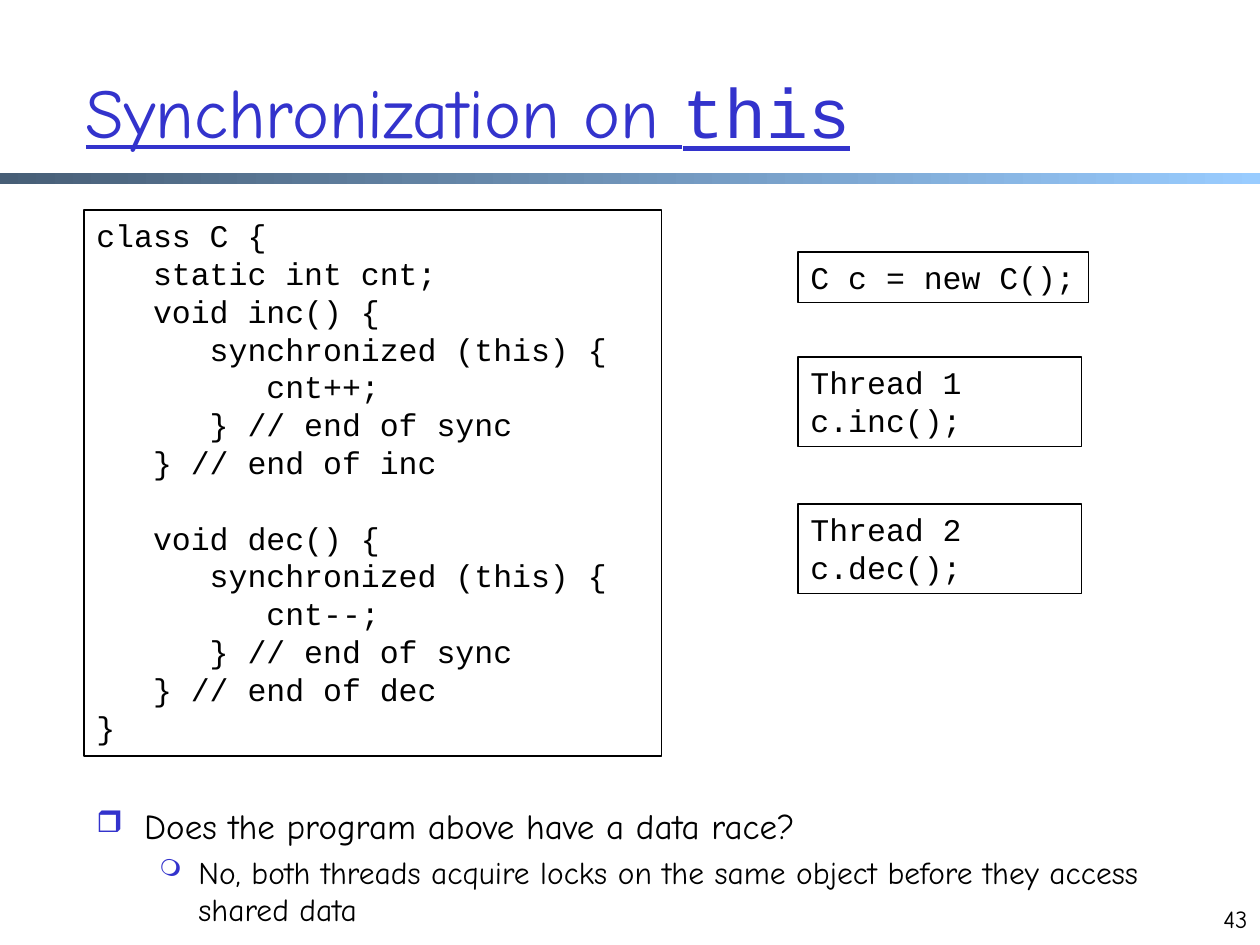
from lxml import etree
from pptx import Presentation
from pptx import util as u
from pptx.dml.color import RGBColor
from pptx.enum import shapes, text
from pptx.oxml.ns import qn

# Content: places are (column, row, columns, rows) on a 120 x 90 grid
COLUMNS, ROWS = 120, 90
TITLE = [("Synchronization on ", "body"), ("this", "code")]
CODE_BOXES = [
    ((8, 20, 55, 52), True, [
        "class C {",
        "   static int cnt;",
        "   void inc() {",
        "      synchronized (this) {",
        "         cnt++;",
        "      } // end of sync",
        "   } // end of inc\n\n   void dec() {",
        "      synchronized (this) {",
        "         cnt--;",
        "      } // end of sync",
        "   } // end of dec",
        "}",
    ]),
    ((76, 24, 27.7, 4.8), False, ["C c = new C();"]),
    ((76, 34, 27, 8.5), True, ["Thread 1", "c.inc();"]),
    ((76, 48, 27, 8.5), True, ["Thread 2", "c.dec();"]),
]
BULLETS = [  # text, style, symbol, symbol percent, left, hanging, space before
    ("Does the program above have a data race?",
     "question", "❒", 85, 0.38, 0.38, 0),
    ("No, both threads acquire locks on the same object before they access "
     "shared data", "answer", "❍", 75, 0.81, 0.31, 3.6),
]
PAGE_NUMBER = "43"

THEME = {
    "fonts": {"body": "Comic Neue", "code": "Courier New"},
    "sizes": {"title": 40, "question": 20, "answer": 18, "code": 18, "number": 14},
    "accent": "3333CC",
    "ink": "000000",
    "band": ("475E76", "99CCFF"),
    "line": 0.75,
}

presentation = Presentation()
presentation.slide_width, presentation.slide_height = u.Inches(10), u.Inches(7.5)
slide = presentation.slides.add_slide(presentation.slide_layouts[6])


def place(column, row, width, height):
    across = presentation.slide_width / COLUMNS
    down = presentation.slide_height / ROWS
    return [round(n) for n in (column * across, row * down, width * across, height * down)]


def style(font, size, family="body", color="ink", **extra):
    font.color.rgb = RGBColor.from_string(THEME[color])
    values = {"name": THEME["fonts"][family], "size": u.Pt(THEME["sizes"][size]), **extra}
    for name, value in values.items():
        setattr(font, name, value)


def add_text_box(area):
    frame = slide.shapes.add_textbox(*place(*area)).text_frame
    frame.word_wrap = True
    return frame


def add_rectangle(area):
    shape = slide.shapes.add_shape(shapes.MSO_SHAPE.RECTANGLE, *place(*area))
    shape.shadow.inherit = False
    return shape


def add_bullet(paragraph, symbol, percent, left, hanging):
    properties = paragraph._p.get_or_add_pPr()
    properties.set("marL", str(u.Inches(left)))
    properties.set("indent", str(-u.Inches(hanging)))
    color = etree.SubElement(properties, qn("a:buClr"))
    etree.SubElement(color, qn("a:srgbClr"), val=THEME["accent"])
    etree.SubElement(properties, qn("a:buSzPct"), val=str(percent * 1000))
    etree.SubElement(properties, qn("a:buChar"), char=symbol)


# Gradient band under the title
band = add_rectangle((0, 16.5, 120, 1))
band.line.fill.background()
band.fill.gradient()
band.fill.gradient_angle = 0
for stop, color in zip(band.fill.gradient_stops, THEME["band"]):
    stop.color.rgb = RGBColor.from_string(color)

# Title
frame = add_text_box((7, 3, 102, 15))
frame.vertical_anchor = text.MSO_ANCHOR.MIDDLE
for words, family in TITLE:
    run = frame.paragraphs[0].add_run()
    run.text = words
    style(run.font, "title", family, "accent", underline=True)

# Question and answer
frame = add_text_box((8, 76, 102, 14))
for index, (words, size, symbol, percent, left, hanging, before) in enumerate(BULLETS):
    paragraph = frame.add_paragraph() if index else frame.paragraphs[0]
    paragraph.text = words
    paragraph.level = index
    add_bullet(paragraph, symbol, percent, left, hanging)
    paragraph.space_before = u.Pt(before)
    style(paragraph.font, size)

# Page number
paragraph = add_text_box((114, 85.5, 6, 6)).paragraphs[0]
paragraph.text = PAGE_NUMBER
paragraph.alignment = text.PP_ALIGN.RIGHT
style(paragraph.font, "number")

# Code boxes
for area, wrap, lines in CODE_BOXES:
    shape = add_rectangle(area)
    shape.fill.background()
    shape.line.color.rgb = RGBColor.from_string(THEME["ink"])
    shape.line.width = u.Pt(THEME["line"])
    frame = shape.text_frame
    frame.word_wrap = wrap
    frame.auto_size = text.MSO_AUTO_SIZE.SHAPE_TO_FIT_TEXT
    frame.vertical_anchor = text.MSO_ANCHOR.TOP
    for index, line in enumerate(lines):
        paragraph = frame.add_paragraph() if index else frame.paragraphs[0]
        paragraph.text = line.replace("\n", "\v")
        paragraph.alignment = text.PP_ALIGN.LEFT
        style(paragraph.font, "code", "code")

presentation.save("out.pptx")
